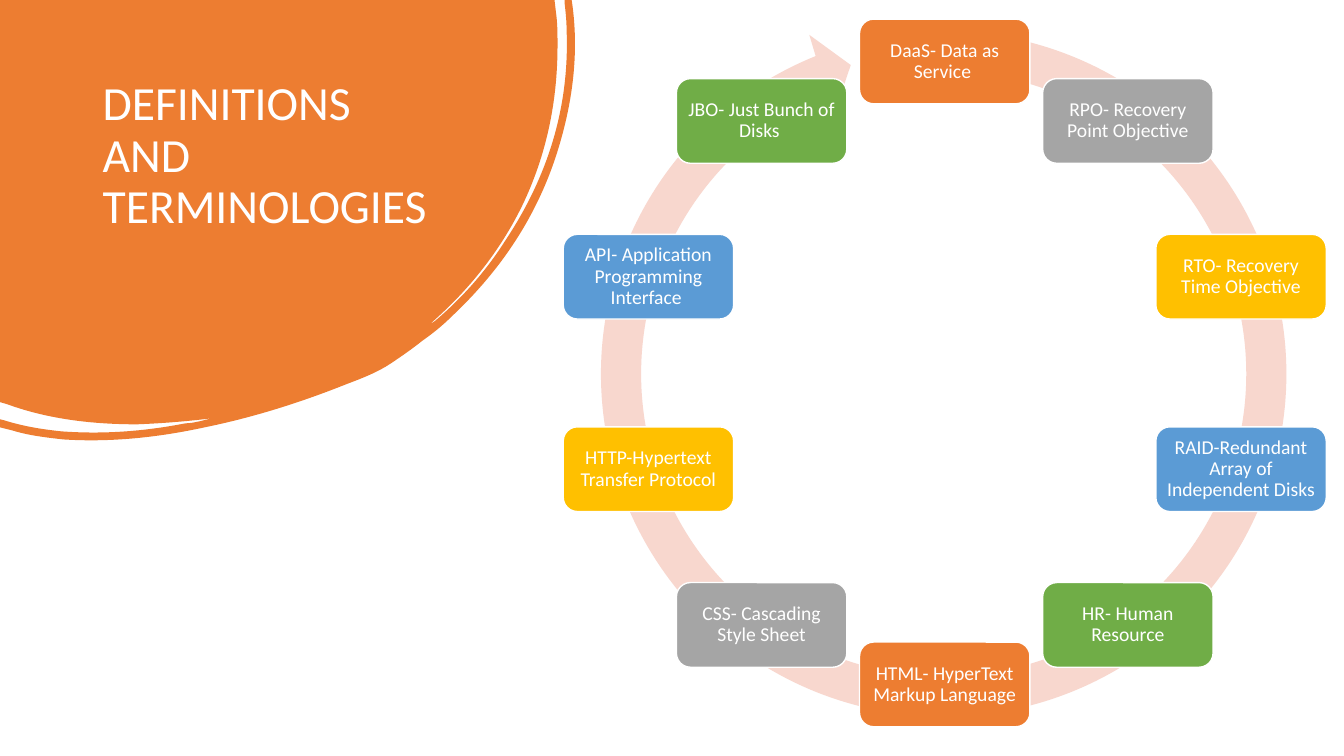
from math import cos, sin, radians
from lxml.etree import SubElement
from pptx import Presentation
from pptx.dml.color import RGBColor
from pptx.enum.shapes import MSO_SHAPE
from pptx.enum.text import MSO_ANCHOR, PP_ALIGN
from pptx.oxml.ns import qn
from pptx.util import Inches, Pt

COLORS = {"orange": "ED7D31", "gray": "A5A5A5", "gold": "FFC000", "blue": "5B9BD5",
          "green": "70AD47", "pink": "F8D7CE", "white": "FFFFFF"}
FONT = "Calibri"
TITLE = "DEFINITIONS AND TERMINOLOGIES "
TERMS = [
    "DaaS- Data as Service ",
    "RPO- Recovery Point Objective",
    "RTO- Recovery Time Objective",
    "RAID-Redundant Array of Independent Disks ",
    "HR- Human Resource",
    "HTML- HyperText Markup Language",
    "CSS- Cascading Style Sheet",
    "HTTP-Hypertext Transfer Protocol",
    "API- Application Programming Interface ",
    "JBO- Just Bunch of Disks ",
]
CYCLE = ["orange", "gray", "gold", "blue", "green"]
BLOB_SIZE = (5.71, 4.37)
BLOB = [
    (5.5, 0), (5.52, 0.17),
    (5.53, 0.26, 5.53, 0.36, 5.53, 0.45),
    (5.53, 1.01, 5.42, 1.54, 5.18, 2.04),
    (4.96, 2.49, 4.65, 2.88, 4.27, 3.21),
    (4.29, 3.21, 4.3, 3.19, 4.32, 3.18),
    (4.59, 2.95, 4.82, 2.69, 5.01, 2.39),
    (5.43, 1.76, 5.65, 1.07, 5.62, 0.3),
    (5.62, 0.21, 5.61, 0.12, 5.6, 0.03),
    (5.6, 0), (5.67, 0), (5.68, 0.07),
    (5.74, 0.54, 5.68, 1.02, 5.53, 1.5),
    (5.33, 2.14, 4.97, 2.68, 4.48, 3.14),
    (4.39, 3.23, 4.29, 3.31, 4.19, 3.38),
    (4.09, 3.46, 3.99, 3.53, 3.87, 3.61),
    (3.75, 3.69, 3.6, 3.75, 3.44, 3.81),
    (2.99, 3.99, 2.52, 4.14, 2.03, 4.24),
    (1.57, 4.34, 1.1, 4.39, 0.63, 4.36),
    (0.45, 4.34, 0.28, 4.32, 0.12, 4.27),
    (0, 4.24), (0, 4.16), (0.04, 4.17),
    (0.23, 4.23, 0.42, 4.26, 0.61, 4.28),
    (1.03, 4.31, 1.43, 4.28, 1.84, 4.2),
    (1.89, 4.2, 1.93, 4.19, 1.98, 4.18),
    (2.02, 4.17, 2.06, 4.16, 2.1, 4.15),
    (1.86, 4.18, 1.61, 4.2, 1.36, 4.21),
    (0.92, 4.21, 0.48, 4.16, 0.07, 4.01),
    (0, 3.99),
]
MID_X, MID_Y, RADIUS = 9.37, 3.7, 3.09
NODE_W, NODE_H = 1.69, 0.84
RING_X, RING_Y, RING = 5.74, 0.09, 7.24
RING_ADJ = [0.055, 3.307, 148.646, 167.529, 0.058]
UNITS = 1000


def rgb(name):
    return RGBColor.from_string(COLORS[name])


def paint(shape, fill, line=None):
    shape.shadow.inherit = False
    shape.fill.solid()
    shape.fill.fore_color.rgb = rgb(fill)
    if line:
        shape.line.color.rgb = rgb(line)
        shape.line.width = Pt(1)
    else:
        shape.line.fill.background()


def write(shape, text, size, align, anchor):
    frame = shape.text_frame
    frame.word_wrap = True
    frame.vertical_anchor = anchor
    para = frame.paragraphs[0]
    para.alignment = align
    para.line_spacing = 0.9
    run = para.add_run()
    run.text = text
    run.font.size = Pt(size)
    run.font.name = FONT
    run.font.color.rgb = rgb("white")
    return frame


def draw_blob(shapes):
    pen = shapes.build_freeform(0, 0, scale=Inches(1) / UNITS)
    pen.add_line_segments([(p[-2] * UNITS, p[-1] * UNITS) for p in BLOB], close=True)
    blob = pen.convert_to_shape()
    outline = next(blob.element.iter(qn("a:path")))
    for part, edge in zip(BLOB, outline.findall(qn("a:lnTo"))):
        if len(part) == 6:
            curve = SubElement(outline, qn("a:cubicBezTo"))
            for x, y in zip(part[::2], part[1::2]):
                SubElement(curve, qn("a:pt"), x=str(round(x * UNITS)), y=str(round(y * UNITS)))
            outline.replace(edge, curve)
    wide, high = BLOB_SIZE
    outline.set("w", str(round(wide * UNITS)))
    outline.set("h", str(round(high * UNITS)))
    blob.width, blob.height = Inches(wide), Inches(high)
    paint(blob, "orange")


def main():
    deck = Presentation()
    deck.slide_width, deck.slide_height = Inches(13.33), Inches(7.5)
    slide = deck.slides.add_slide(deck.slide_layouts[6])
    shapes = slide.shapes

    draw_blob(shapes)

    title = shapes.add_textbox(Inches(0.92), Inches(0.74), Inches(3.52), Inches(2.22))
    write(title, TITLE, 34, PP_ALIGN.LEFT, MSO_ANCHOR.TOP)

    ring = shapes.add_shape(MSO_SHAPE.CIRCULAR_ARROW, Inches(RING_X), Inches(RING_Y),
                            Inches(RING), Inches(RING))
    for i, value in enumerate(RING_ADJ):
        ring.adjustments[i] = value
    paint(ring, "pink")

    for i, term in enumerate(TERMS):
        turn = radians(360 / len(TERMS) * i)
        left = MID_X + RADIUS * sin(turn) - NODE_W / 2
        top = MID_Y - RADIUS * cos(turn) - NODE_H / 2
        node = shapes.add_shape(MSO_SHAPE.ROUNDED_RECTANGLE, Inches(left), Inches(top),
                                Inches(NODE_W), Inches(NODE_H))
        paint(node, CYCLE[i % len(CYCLE)], "white")
        frame = write(node, term, 14, PP_ALIGN.CENTER, MSO_ANCHOR.MIDDLE)
        frame.margin_left = frame.margin_right = Inches(0.06)
        frame.margin_top = frame.margin_bottom = Inches(0.06)

    deck.save("out.pptx")


if __name__ == "__main__":
    main()
